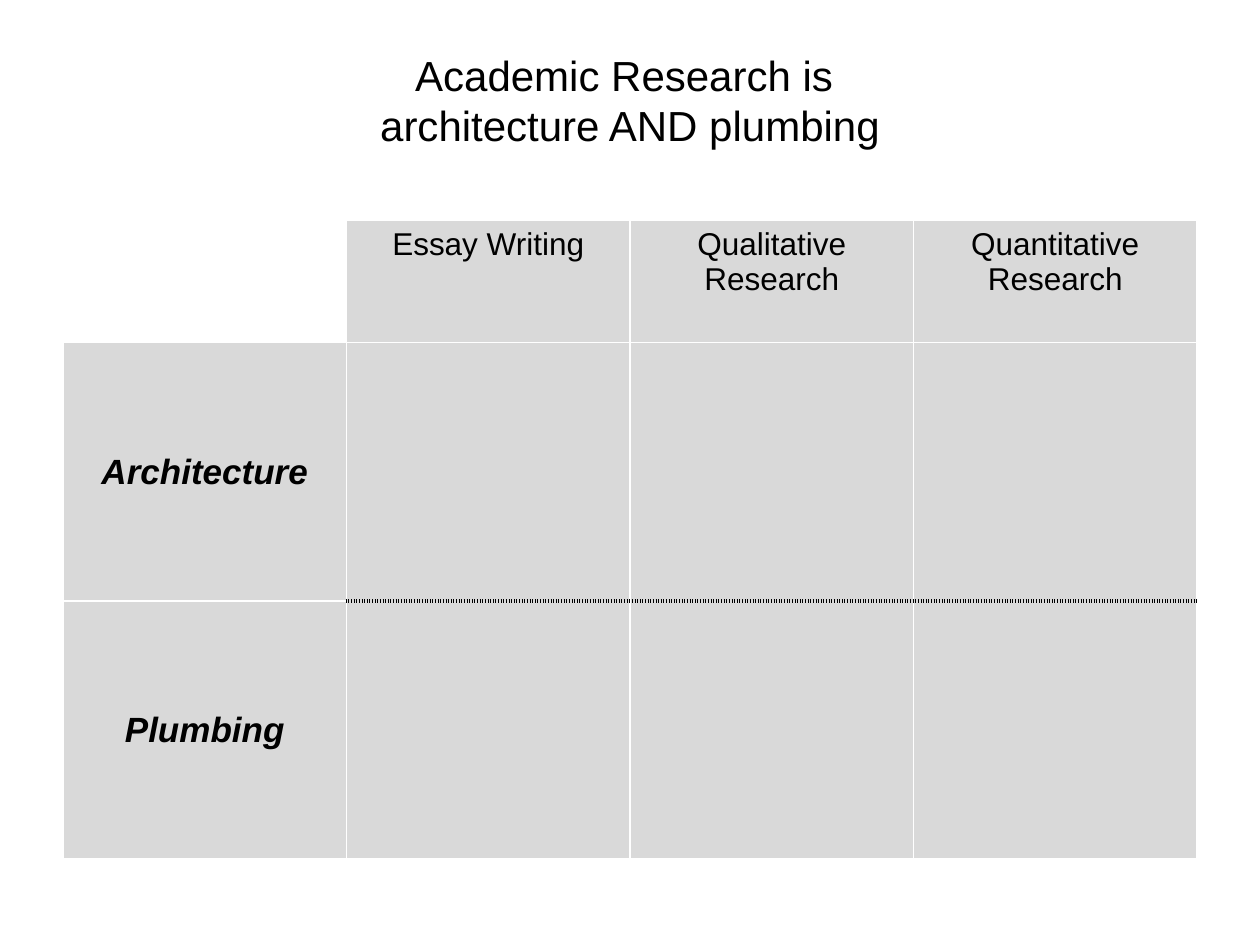
from lxml import etree
from pptx import Presentation
from pptx.dml.color import RGBColor
from pptx.enum.text import MSO_ANCHOR, PP_ALIGN
from pptx.oxml.ns import qn
from pptx.util import Inches, Pt

CENTER = PP_ALIGN.CENTER
TOP, MIDDLE = MSO_ANCHOR.TOP, MSO_ANCHOR.MIDDLE
BLACK = RGBColor(0, 0, 0)
WHITE = RGBColor(255, 255, 255)
GRAY = RGBColor(0xD9, 0xD9, 0xD9)
FONT = "Arial"

# Content
TITLE = "Academic Research is \varchitecture AND plumbing"
ROWS = [
    ["", "Essay Writing", "Qualitative Research", "Quantitative Research"],
    ["Architecture", "", "", ""],
    ["Plumbing", "", "", ""],
]

# Grid, in inches
MARGIN, WIDTH = 0.5, 9
TABLE_TOP = 1.75
ROW_HEIGHTS = [0.97, 2.05, 2.05]


def style(p, size, emphasis=False):
    p.alignment = CENTER
    f = p.font
    f.name, f.size, f.color.rgb = FONT, Pt(size), BLACK
    f.bold = f.italic = emphasis


def add_border(cell, side, color, width, dash="solid"):
    ln = etree.SubElement(cell._tc.get_or_add_tcPr(), qn("a:ln" + side), w=str(Pt(width)))
    fill = etree.SubElement(ln, qn("a:solidFill"))
    etree.SubElement(fill, qn("a:srgbClr"), val=str(color))
    etree.SubElement(ln, qn("a:prstDash"), val=dash)


prs = Presentation()
prs.slide_width, prs.slide_height = Inches(10), Inches(7.5)
s = prs.slides.add_slide(prs.slide_layouts[6])

# Title
tf = s.shapes.add_textbox(Inches(MARGIN), Inches(0.3), Inches(WIDTH), Inches(1.25)).text_frame
tf.word_wrap = True
tf.vertical_anchor = TOP
tf.margin_top = Inches(0.09)
tf.text = TITLE
style(tf.paragraphs[0], 24)

# Table
table = s.shapes.add_table(len(ROWS), len(ROWS[0]), Inches(MARGIN), Inches(TABLE_TOP),
                           Inches(WIDTH), Inches(sum(ROW_HEIGHTS))).table
table.first_row = table.horz_banding = False
for row, height in zip(table.rows, ROW_HEIGHTS):
    row.height = Inches(height)

for i, row in enumerate(ROWS):
    for j, text in enumerate(row):
        cell = table.cell(i, j)
        cell.text = text
        cell.vertical_anchor = TOP if i == 0 else MIDDLE
        style(cell.text_frame.paragraphs[0], 20 if j == 0 else 18, j == 0)
        # A dotted line parts the two lower rows, outside the label column
        for side in "LRTB":
            if j > 0 and (i, side) in [(1, "B"), (2, "T")]:
                add_border(cell, side, BLACK, 2.25, "dot")
            else:
                add_border(cell, side, WHITE, 1)
        cell.fill.solid()
        cell.fill.fore_color.rgb = WHITE if i == j == 0 else GRAY

prs.save("out.pptx")
